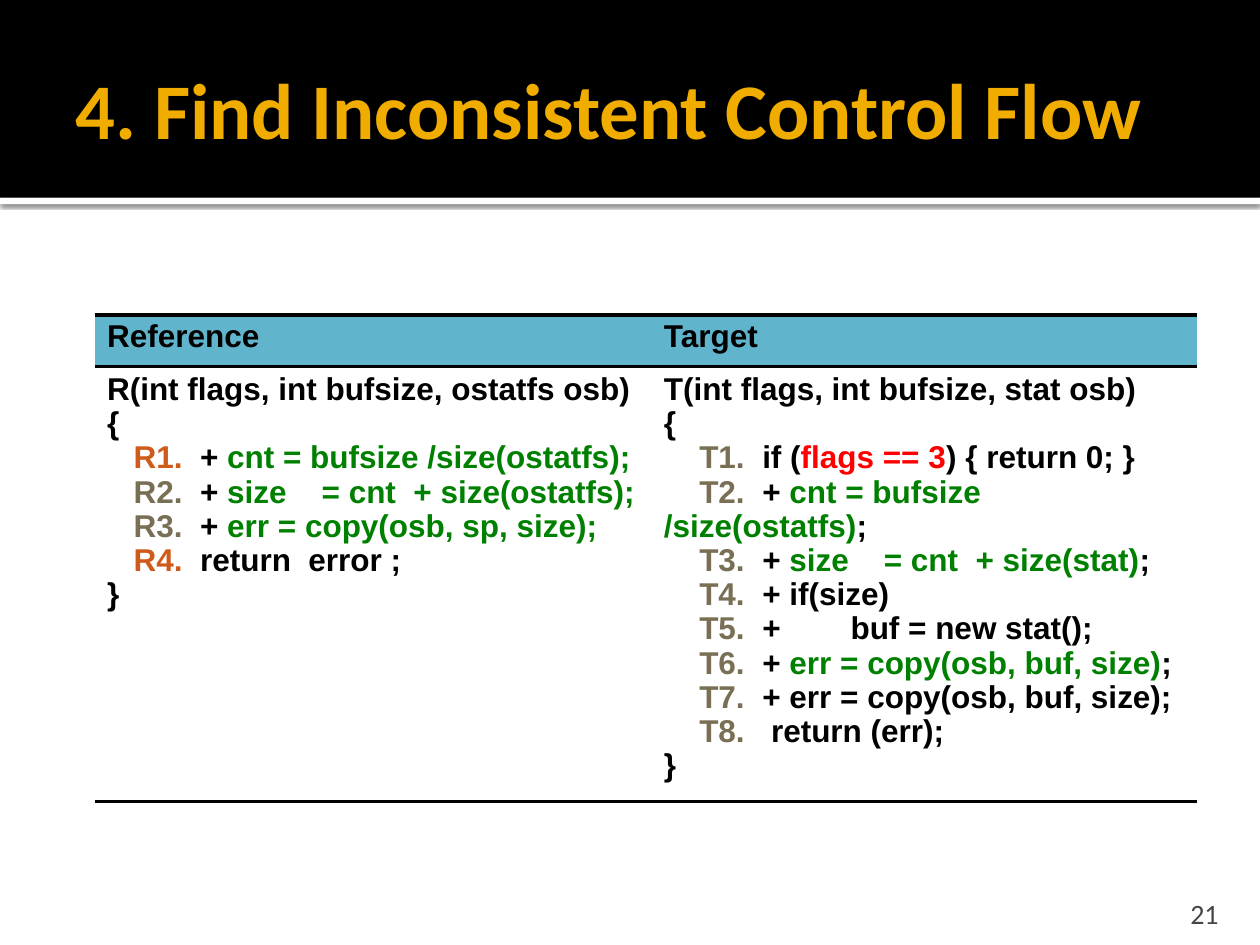
"""Build the slide that compares inconsistent control flow in two functions."""
from typing import NamedTuple

from lxml.etree import SubElement
from pptx import Presentation
from pptx.dml.color import RGBColor
from pptx.enum.shapes import MSO_SHAPE
from pptx.enum.text import MSO_ANCHOR, PP_ALIGN
from pptx.oxml import parse_xml
from pptx.oxml.ns import nsdecls, qn
from pptx.util import Inches, Pt

BLACK, WHITE, BLUE = "000000", "FFFFFF", "60B5CC"
GREEN, RED, ORANGE, OLIVE = "008000", "FF0000", "CF5B1B", "796F54"
GOLD, GRAY = "F0AD00", "454545"


class Span(NamedTuple):
    text: str
    color: str = BLACK


class CodeLine(NamedTuple):
    spans: list[Span]
    indent: float = 0


class Box(NamedTuple):
    left: float
    top: float
    width: float
    height: float


class Label(NamedTuple):
    text: str
    box: Box
    size: float
    color: str
    bold: bool
    align: PP_ALIGN
    anchor: MSO_ANCHOR
    margins: tuple[float, float, float, float]


def plain(text: str) -> CodeLine:
    """Return an unindented black line."""
    return CodeLine([Span(text)])


def reference(number: str, color: str, *spans: Span) -> CodeLine:
    """Return a numbered line of the reference function."""
    return CodeLine([Span(number, color), *spans], 0.21)


def target(number: str, *spans: Span) -> CodeLine:
    """Return a numbered line of the target function."""
    return CodeLine([Span(number, OLIVE), *spans], 0.28)


PLUS, END = Span("+ "), Span(";")
REFERENCE_CODE = [
    plain("R(int flags, int bufsize, ostatfs osb)"),
    plain("{"),
    reference("R1.  ", ORANGE, PLUS, Span("cnt = bufsize /size(ostatfs);", GREEN)),
    reference("R2.  ", OLIVE, PLUS, Span("size    = cnt  + size(ostatfs);", GREEN)),
    reference("R3.  ", OLIVE, PLUS, Span("err = copy(osb, sp, size);", GREEN)),
    reference("R4.  ", ORANGE, Span("return  error ;")),
    plain("}"),
]
TARGET_CODE = [
    plain("T(int flags, int bufsize, stat osb)"),
    plain("{"),
    target("T1.  ", Span("if ("), Span("flags == 3", RED), Span(") { return 0; }")),
    target("T2.  ", PLUS, Span("cnt = bufsize /size(ostatfs)", GREEN), END),
    target("T3.  ", PLUS, Span("size    = cnt  + size(stat)", GREEN), END),
    target("T4.  ", Span("+ if(size)")),
    target("T5.  ", Span("+        buf = new stat();")),
    target("T6.  ", PLUS, Span("err = copy(osb, buf, size)", GREEN), END),
    target("T7.  ", Span("+ err = copy(osb, buf, size);")),
    target("T8.   ", Span("return (err);")),
    plain("}"),
]
LABELS = [
    Label("21", Box(8.97, 7.08, 0.8, 0.3), 16, GRAY, False,
          PP_ALIGN.RIGHT, MSO_ANCHOR.BOTTOM, (0.1, 0.05, 0.1, 0)),
    Label("4. Find Inconsistent Control Flow", Box(0.5, 0.17, 9, 1.37), 45, GOLD, True,
          PP_ALIGN.LEFT, MSO_ANCHOR.MIDDLE, (0.1, 0.05, 0.05, 0.05)),
]


def rgb(color: str) -> RGBColor:
    """Turn a hex string into a colour."""
    return RGBColor.from_string(color)


def add_run(paragraph, span: Span, font_name: str, size: float, bold: bool) -> None:
    """Append one formatted run."""
    run = paragraph.add_run()
    run.text = span.text
    run.font.name, run.font.size, run.font.bold = font_name, Pt(size), bold
    run.font.color.rgb = rgb(span.color)


def add_band(slide, box: Box, color: str):
    """Add a plain filled rectangle."""
    band = slide.shapes.add_shape(MSO_SHAPE.RECTANGLE, *map(Inches, box))
    band.shadow.inherit = False
    band.fill.solid()
    band.fill.fore_color.rgb = rgb(color)
    band.line.fill.background()
    return band


def add_shadow(band) -> None:
    """Cast a soft shadow straight down."""
    effects = band._element.spPr.find(qn("a:effectLst"))
    effects.append(parse_xml(
        f'<a:outerShdw {nsdecls("a")} blurRad="{Pt(2.5)}" dist="{Pt(0.8)}" dir="5400000" '
        'rotWithShape="0"><a:srgbClr val="000000"><a:alpha val="60000"/></a:srgbClr>'
        '</a:outerShdw>'))


def add_label(slide, label: Label) -> None:
    """Add a one-line text box."""
    text_box = slide.shapes.add_textbox(*map(Inches, label.box))
    frame = text_box.text_frame
    frame.word_wrap = True
    frame.vertical_anchor = label.anchor
    (frame.margin_left, frame.margin_top,
     frame.margin_right, frame.margin_bottom) = map(Inches, label.margins)
    paragraph = frame.paragraphs[0]
    paragraph.alignment = label.align
    add_run(paragraph, Span(label.text, label.color), "Calibri", label.size, label.bold)


def set_borders(cell) -> None:
    """Rule a cell above and below and leave its sides open."""
    properties = cell._tc.get_or_add_tcPr()
    for position, side in enumerate(("lnL", "lnR", "lnT", "lnB")):
        border = SubElement(properties, qn(f"a:{side}"), w=str(Pt(2)))
        if side in ("lnT", "lnB"):
            fill = SubElement(border, qn("a:solidFill"))
            SubElement(fill, qn("a:srgbClr"), val=BLACK)
        else:
            SubElement(border, qn("a:noFill"))
        properties.insert(position, border)


def fill_cell(cell, lines: list[CodeLine], color: str, spacing: float) -> None:
    """Write code lines into a filled and ruled cell."""
    cell.fill.solid()
    cell.fill.fore_color.rgb = rgb(color)
    set_borders(cell)
    frame = cell.text_frame
    for index, line in enumerate(lines):
        paragraph = frame.add_paragraph() if index else frame.paragraphs[0]
        paragraph.line_spacing = spacing
        if line.indent:
            properties = paragraph._p.get_or_add_pPr()
            properties.set("marL", "0")
            properties.set("indent", str(Inches(line.indent)))
        for span in line.spans:
            add_run(paragraph, span, "Arial", 18, True)


def add_comparison(slide, box: Box) -> None:
    """Add the table with both functions side by side."""
    table = slide.shapes.add_table(2, 2, *map(Inches, box)).table
    table.first_row = table.horz_banding = False
    table.rows[0].height, table.rows[1].height = Inches(0.41), Inches(box.height - 0.41)
    table.columns[0].width, table.columns[1].width = Inches(4.42), Inches(4.33)
    functions = [("Reference", REFERENCE_CODE), ("Target", TARGET_CODE)]
    for column, (heading, code) in enumerate(functions):
        fill_cell(table.cell(0, column), [plain(heading)], BLUE, 0.93)
        fill_cell(table.cell(1, column), code, WHITE, 0.97)


def main() -> None:
    """Build and save the slide."""
    presentation = Presentation()
    presentation.slide_width, presentation.slide_height = Inches(10), Inches(7.5)
    slide = presentation.slides.add_slide(presentation.slide_layouts[6])
    add_shadow(add_band(slide, Box(0, 1.57, 10, 0.05), WHITE))
    add_band(slide, Box(0, 0, 10, 1.57), BLACK)
    add_comparison(slide, Box(0.75, 2.5, 8.75, 3.86))
    for label in LABELS:
        add_label(slide, label)
    presentation.save("out.pptx")


if __name__ == "__main__":
    main()
